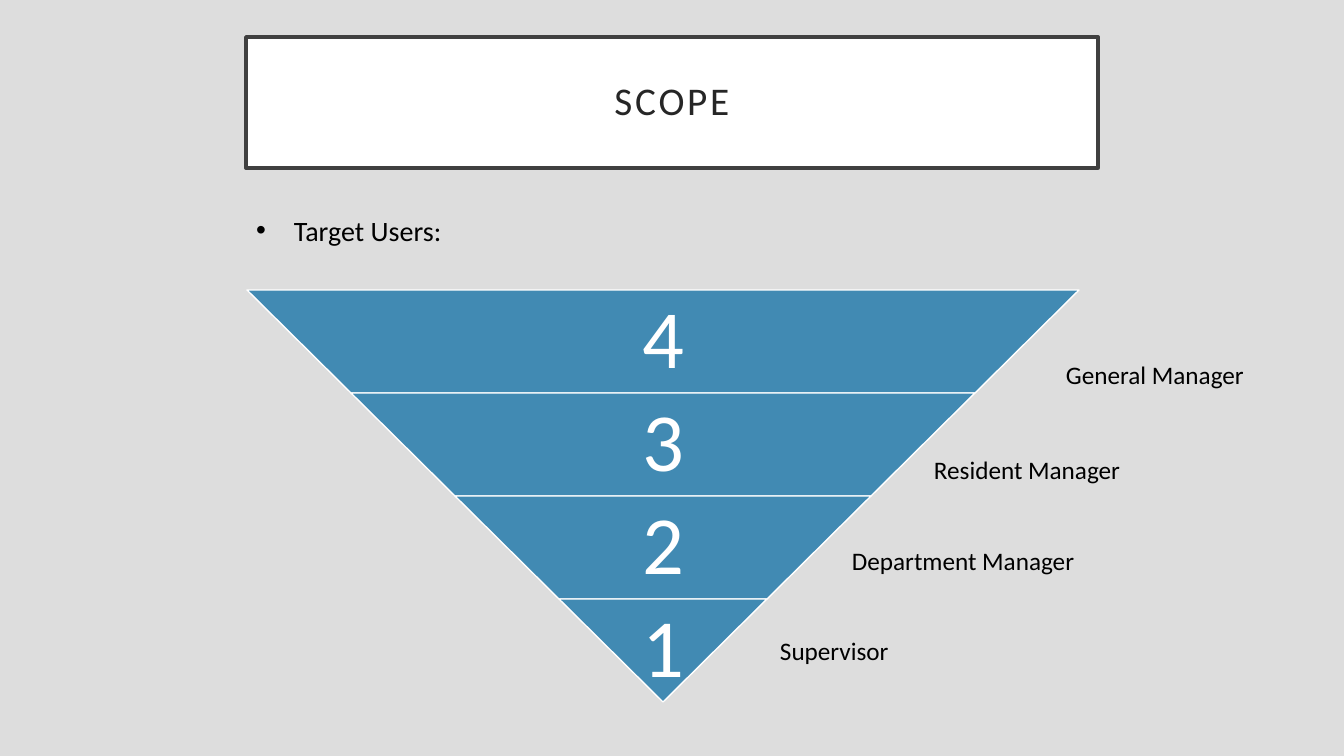
from dataclasses import dataclass

from pptx import Presentation
from pptx.dml.color import RGBColor
from pptx.enum.shapes import MSO_SHAPE
from pptx.enum.text import MSO_ANCHOR, MSO_AUTO_SIZE, PP_ALIGN
from pptx.util import Emu, Pt

TRAPEZOID = MSO_SHAPE.TRAPEZOID
TOP, MIDDLE = MSO_ANCHOR.TOP, MSO_ANCHOR.MIDDLE
LEFT, CENTER = PP_ALIGN.LEFT, PP_ALIGN.CENTER
NO_AUTOFIT = MSO_AUTO_SIZE.NONE
EMU_PER_PIXEL = 914400 / 100.8


@dataclass(frozen=True)
class Theme:
    font: str = "Calibri"
    background: RGBColor = RGBColor(0xDD, 0xDD, 0xDD)
    white: RGBColor = RGBColor(0xFF, 0xFF, 0xFF)
    black: RGBColor = RGBColor(0, 0, 0)
    title_text: RGBColor = RGBColor(0x26, 0x26, 0x26)
    title_border: RGBColor = RGBColor(0x40, 0x40, 0x40)
    pyramid: RGBColor = RGBColor(0x41, 0x8A, 0xB3)
    title_size: Pt = Pt(28)
    body_size: Pt = Pt(20)
    label_size: Pt = Pt(18)
    number_size: Pt = Pt(59)


theme = Theme()


def pixels(*lengths):
    return [Emu(round(length * EMU_PER_PIXEL)) for length in lengths]


def write_text(shape, text, size, color, align=LEFT, anchor=TOP, spacing=1.0, margins=(10, 5)):
    horizontal, vertical = pixels(*margins)
    frame = shape.text_frame
    frame.text = text
    paragraph = frame.paragraphs[0]
    font = paragraph.runs[0].font
    font.color.rgb = color
    formats = {
        frame: {
            "word_wrap": True, "auto_size": NO_AUTOFIT, "vertical_anchor": anchor,
            "margin_left": horizontal, "margin_right": horizontal,
            "margin_top": vertical, "margin_bottom": vertical,
        },
        paragraph: {"alignment": align, "line_spacing": spacing, "space_before": Pt(0)},
        font: {"name": theme.font, "size": size},
    }
    for target, values in formats.items():
        for name, value in values.items():
            setattr(target, name, value)
    return paragraph.runs[0]


presentation = Presentation()
presentation.slide_width, presentation.slide_height = pixels(1344, 756)
slide = presentation.slides.add_slide(presentation.slide_layouts[1])
slide.background.fill.solid()
slide.background.fill.fore_color.rgb = theme.background

title, body = slide.placeholders
for placeholder, box in ((title, (246, 37, 852, 131)), (body, (246, 208, 475, 44))):
    placeholder.left, placeholder.top, placeholder.width, placeholder.height = pixels(*box)

title.fill.solid()
title.fill.fore_color.rgb = theme.white
title.line.color.rgb = theme.title_border
title.line.width = Pt(2.5)
title_run = write_text(title, "SCOPE", theme.title_size, theme.title_text,
                       CENTER, MIDDLE, 0.9, (20, 20))
title_run.font._element.set("spc", "200")
write_text(body, "Target Users:", theme.body_size, theme.black)

pyramid_center, pyramid_top = 663, 290
level_height, level_inset = 103, 104
for row, level in enumerate((4, 3, 2, 1)):
    half_width = level_inset * level
    box = pixels(pyramid_center - half_width, pyramid_top + level_height * row,
                 2 * half_width, level_height)
    band = slide.shapes.add_shape(TRAPEZOID, *box)
    band.shadow.inherit = False
    band.rotation = 180
    band.adjustments[0] = level_inset / level_height
    band.fill.solid()
    band.fill.fore_color.rgb = theme.pyramid
    band.line.color.rgb = theme.white
    band.line.width = Pt(1)
    number = slide.shapes.add_textbox(*box)
    write_text(number, str(level), theme.number_size, theme.white,
               CENTER, MIDDLE, 0.9, (8, 8))

user_labels = (
    ("General Manager", 1056, 354),
    ("Resident Manager", 924, 449),
    ("Department Manager", 842, 540),
    ("Supervisor", 770, 630),
)
for user, left, top in user_labels:
    label = slide.shapes.add_textbox(*pixels(left, top, 265, 40))
    write_text(label, user, theme.label_size, theme.black)

presentation.save("out.pptx")
